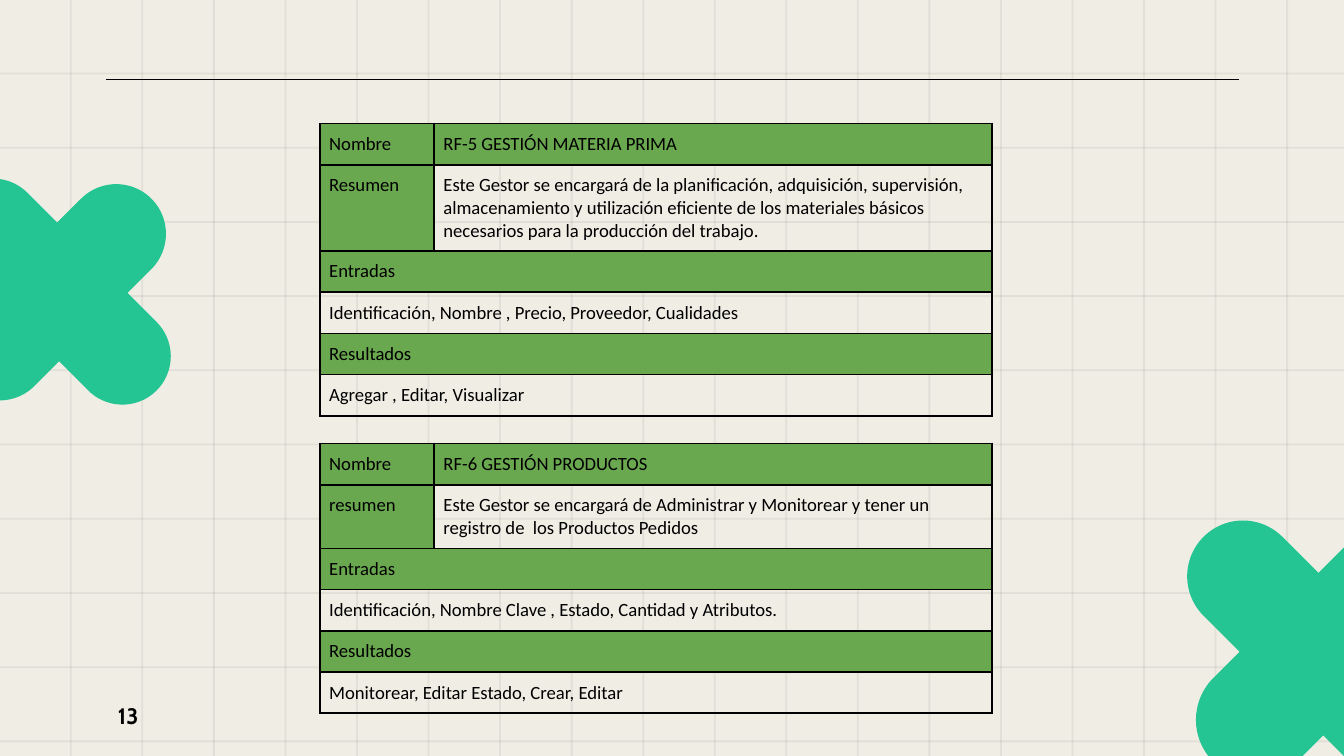
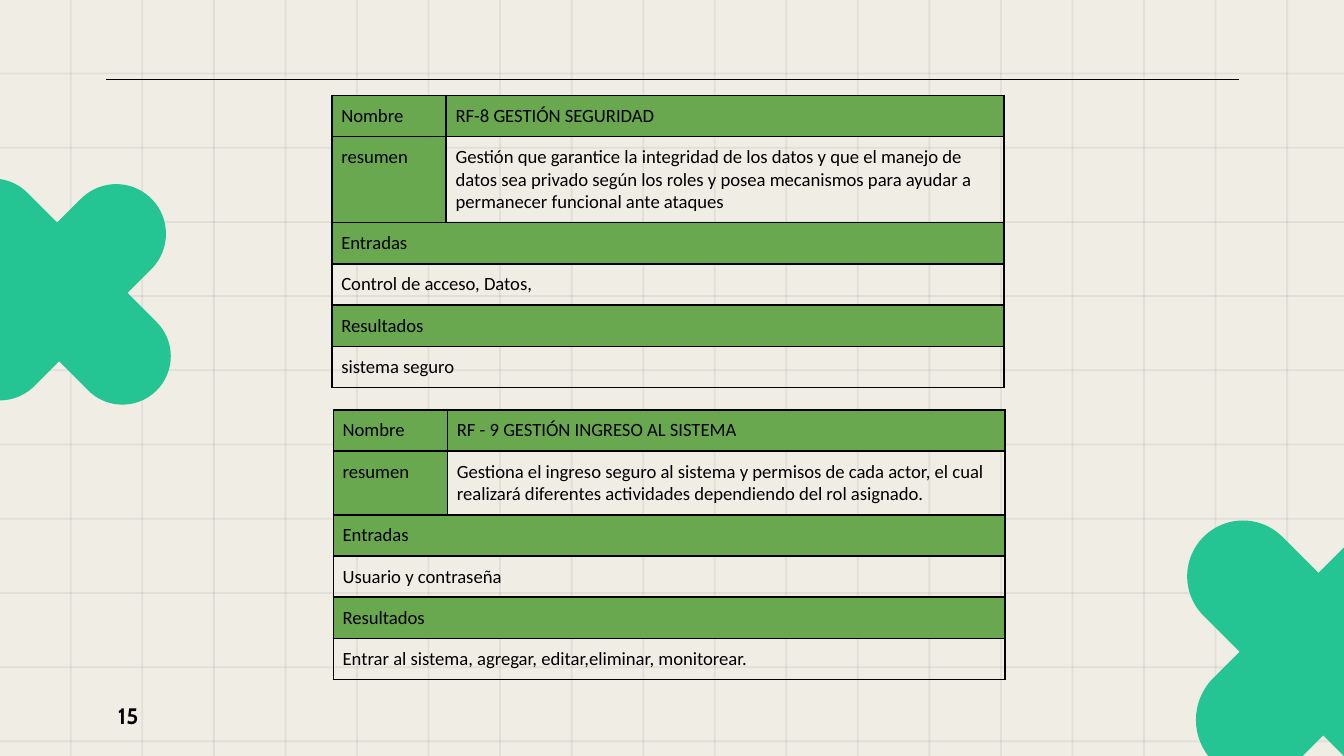
from collections import namedtuple

from lxml import etree
from pptx import Presentation
from pptx import util as u
from pptx.dml.color import RGBColor
from pptx.enum import shapes, text
from pptx.oxml import ns

Box = namedtuple("Box", "left top width height")

CREAM = RGBColor(0xF0, 0xED, 0xE5)
BLACK = RGBColor(0x00, 0x00, 0x00)
TEAL = RGBColor(0x25, 0xC5, 0x93)
GREEN = RGBColor(0x6A, 0xA8, 0x4F)

SLIDE = Box(0, 0, 10, 10 * 9 / 16)
GRID = Box(0.52, 0.54, 9.05, 4.97)
GRID_COLUMNS, GRID_ROWS = 17, 9
GRID_LINE = 1 / 72
GRID_OPACITY = 6
RULE = Box(0.79, 0.59, 8.43, 0)
NUMBER = Box(0.78, 5.11, 0.6, 0.43)
LEFT_CROSS = (Box(0.06, 1.19, 0.74, 1.97), Box(-0.61, 1.81, 2.08, 0.72))
RIGHT_CROSS = (Box(9.39, 3.73, 0.88, 2.27), Box(8.59, 4.46, 2.49, 0.83))

LABEL_SHARE = 0.17
SECTION_HEIGHT = 0.29
CELL_INSET = 0.07

PAGES = [
    ("13", [
        (Box(2.38, 0.92, 5, 2.17), [
            ("Nombre", "RF-5 GESTIÓN MATERIA PRIMA"),
            ("Resumen", "Este Gestor se encargará de la planificación, adquisición, supervisión, "
             "almacenamiento y utilización eficiente de los materiales básicos "
             "necesarios para la producción del trabajo."),
            ("Entradas", "Identificación, Nombre , Precio, Proveedor, Cualidades"),
            ("Resultados", "Agregar , Editar, Visualizar"),
        ]),
        (Box(2.38, 3.3, 5, 2), [
            ("Nombre", "RF-6 GESTIÓN PRODUCTOS"),
            ("resumen", "Este Gestor se encargará de Administrar y Monitorear y tener un "
             "registro de  los Productos Pedidos"),
            ("Entradas", "Identificación, Nombre Clave , Estado, Cantidad y Atributos."),
            ("Resultados", "Monitorear, Editar Estado, Crear, Editar"),
        ]),
    ]),
    ("15", [
        (Box(2.47, 0.71, 5, 2.17), [
            ("Nombre", "RF-8 GESTIÓN SEGURIDAD "),
            ("resumen", "Gestión que garantice la integridad de los datos y que el manejo de "
             "datos sea privado según los roles y posea mecanismos para ayudar a "
             "permanecer funcional ante ataques"),
            ("Entradas", "Control de acceso, Datos, "),
            ("Resultados", "sistema seguro "),
        ]),
        (Box(2.48, 3.05, 5, 2), [
            ("Nombre", "RF - 9 GESTIÓN INGRESO AL SISTEMA"),
            ("resumen", "Gestiona el ingreso seguro al sistema y permisos de cada actor, el cual "
             "realizará diferentes actividades dependiendo del rol asignado."),
            ("Entradas", "Usuario y contraseña"),
            ("Resultados", "Entrar al sistema, agregar, editar,eliminar, monitorear."),
        ]),
    ]),
]


def inches(box):
    """Return the box's four lengths in slide units."""
    return [u.Inches(length) for length in box]


def add_solid(parent, preset, box, color):
    """Add a flat preset shape without outline."""
    shape = parent.add_shape(preset, *inches(box))
    shape.shadow.inherit = False
    shape.fill.solid()
    shape.fill.fore_color.rgb = color
    shape.line.fill.background()
    return shape


def add_grid(page, box):
    """Draw the faint squared-paper lines at equal steps across the box."""
    group = page.shapes.add_group_shape().shapes
    bleed = 0.1
    columns = [Box(box.left + box.width * step / GRID_COLUMNS, -bleed / 2,
                   GRID_LINE, SLIDE.height + bleed) for step in range(GRID_COLUMNS + 1)]
    rows = [Box(-bleed, box.top + box.height * step / GRID_ROWS,
                SLIDE.width + 2 * bleed, GRID_LINE) for step in range(GRID_ROWS + 1)]
    for line in columns + rows:
        shape = add_solid(group, shapes.MSO_SHAPE.RECTANGLE, line, BLACK)
        color = shape.fill._xPr.find(".//" + ns.qn("a:srgbClr"))
        etree.SubElement(color, ns.qn("a:alpha"), val=str(GRID_OPACITY * 1000))


def add_rule(page, box):
    """Draw the thin line along the top of the box."""
    rule = page.shapes.add_connector(
        shapes.MSO_CONNECTOR.STRAIGHT, u.Inches(box.left), u.Inches(box.top),
        u.Inches(box.left + box.width), u.Inches(box.top))
    rule.line.color.rgb = BLACK
    rule.line.width = u.Pt(0.75)
    etree.SubElement(rule._element.spPr, ns.qn("a:effectLst"))


def add_cross(page, bars):
    """Cross rounded bars, each turned by 45 degrees."""
    group = page.shapes.add_group_shape().shapes
    for bar in bars:
        shape = add_solid(group, shapes.MSO_SHAPE.ROUNDED_RECTANGLE, bar, TEAL)
        shape.adjustments[0] = 0.5
        shape.rotation = 45


def add_number(page, box, number):
    """Write the page number in the box."""
    frame = page.shapes.add_textbox(*inches(box)).text_frame
    frame.word_wrap = True
    frame.vertical_anchor = text.MSO_ANCHOR.MIDDLE
    frame.margin_left = frame.margin_right = u.Inches(0.1)
    frame.margin_top = frame.margin_bottom = u.Inches(0.1)
    para = frame.paragraphs[0]
    para.text = number
    para.font.name, para.font.size, para.font.bold = "Cabin", u.Pt(12), True
    para.font.color.rgb = BLACK


def format_cell(cell, filled):
    """Give a cell its borders, fill, insets and font."""
    properties = cell._tc.get_or_add_tcPr()
    for side in ("lnL", "lnR", "lnT", "lnB"):
        border = etree.SubElement(properties, ns.qn("a:" + side), w=str(u.Pt(1)))
        fill = etree.SubElement(border, ns.qn("a:solidFill"))
        etree.SubElement(fill, ns.qn("a:srgbClr"), val=str(BLACK))
    if filled:
        cell.fill.solid()
        cell.fill.fore_color.rgb = GREEN
    else:
        cell.fill.background()
    cell.margin_left = cell.margin_right = u.Inches(CELL_INSET)
    cell.margin_top = cell.margin_bottom = u.Inches(CELL_INSET)
    para = cell.text_frame.paragraphs[0]
    para.font.name, para.font.size = "Calibri", u.Pt(10)
    para.font.color.rgb = BLACK


def add_requirement(page, box, fields):
    """Add a requirement table: two labelled rows that fit their text, then sections."""
    name, summary, *sections = fields
    rows = [name, summary] + [(entry, "") for section in sections for entry in section]
    frame = page.shapes.add_table(len(rows), 2, *inches(box))
    table = frame.table
    table.first_row = table.horz_banding = False
    for column, share in zip(table.columns, (LABEL_SHARE, 1 - LABEL_SHARE)):
        column.width = u.Inches(box.width * share)
    for index, entries in enumerate(rows):
        is_section = index > 1
        table.rows[index].height = u.Inches(SECTION_HEIGHT if is_section else 0)
        for column, entry in enumerate(entries):
            cell = table.cell(index, column)
            cell.text = entry
            format_cell(cell, index % 2 == 0 or (index == 1 and column == 0))
        if is_section:
            table.cell(index, 0).merge(table.cell(index, 1))
    frame.height = u.Inches(box.height)


def add_page(deck, number, requirements):
    """Add a page with the shared decoration and its requirement tables."""
    page = deck.slides.add_slide(deck.slide_layouts[6])
    add_grid(page, GRID)
    add_rule(page, RULE)
    add_number(page, NUMBER, number)
    add_cross(page, LEFT_CROSS)
    add_cross(page, RIGHT_CROSS)
    for box, fields in requirements:
        add_requirement(page, box, fields)


def main():
    """Build the deck and save it."""
    deck = Presentation()
    deck.slide_width, deck.slide_height = u.Inches(SLIDE.width), u.Inches(SLIDE.height)
    background = deck.slide_master.background.fill
    background.solid()
    background.fore_color.rgb = CREAM
    for number, requirements in PAGES:
        add_page(deck, number, requirements)
    deck.save("out.pptx")


if __name__ == "__main__":
    main()
